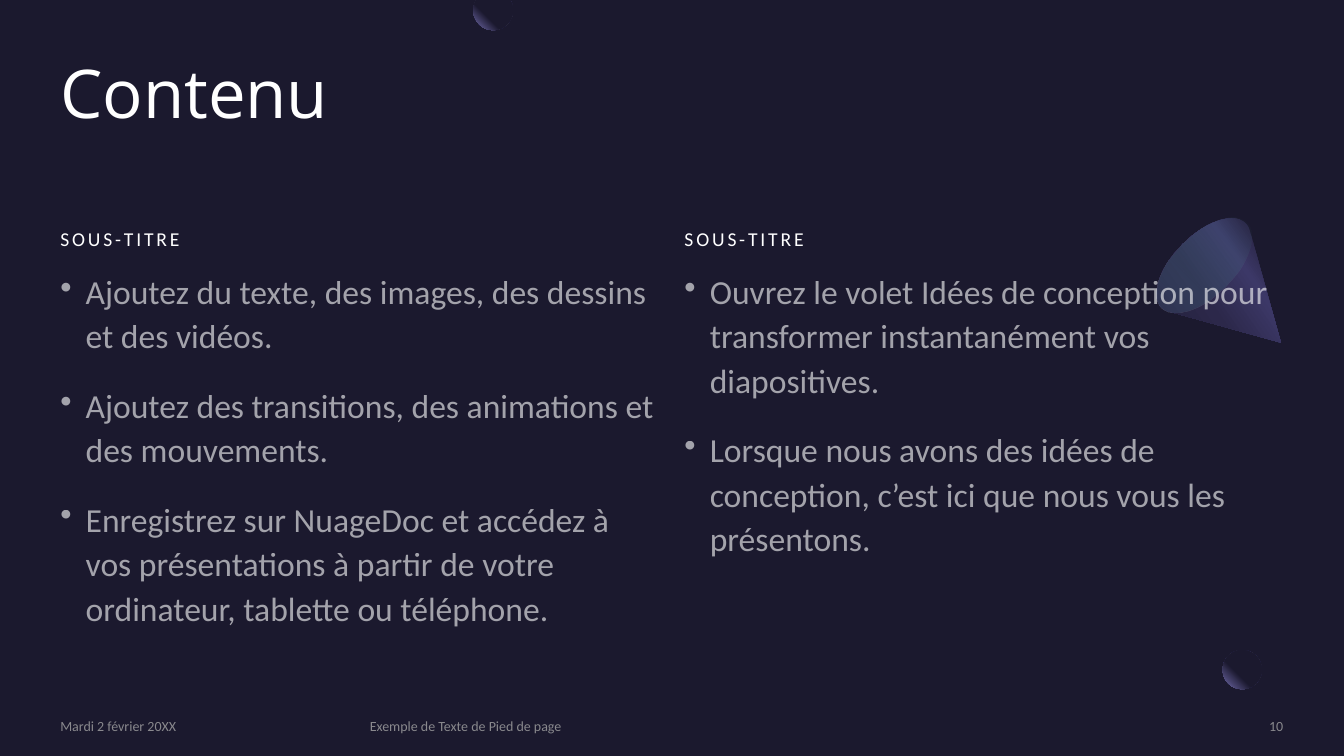
from math import cos, radians, sin

from lxml.etree import SubElement
from pptx import Presentation
from pptx.dml.color import RGBColor
from pptx.enum.shapes import MSO_SHAPE
from pptx.enum.text import MSO_ANCHOR, PP_ALIGN
from pptx.oxml import parse_xml
from pptx.oxml.ns import nsdecls, qn
from pptx.util import Cm, Pt

COLORS = {
    "night": "1B192E",
    "lilac": "7771B2",
    "plum": "2C284A",
    "violet": "3C3867",
    "indigo": "454075",
    "mint": "5BEFC1",
    "white": "FFFFFF",
    "grey": "A6A6A6",
}
LEFT, COLUMN_STEP, COLUMN_WIDTH = 1.52, 15.73, 15.11
GLOW = [(60, "night", 100), (100, "lilac", 100)]
CORNER = ('<a:path path="circle">'
          '<a:fillToRect l="100000" t="0" r="0" b="100000"/></a:path>')
COLUMNS = [
    ["Ajoutez du texte, des images, des dessins et des vidéos.",
     "Ajoutez des transitions, des animations et des mouvements.",
     "Enregistrez sur NuageDoc et accédez à vos présentations à partir "
     "de votre ordinateur, tablette ou téléphone."],
    ["Ouvrez le volet Idées de conception pour transformer instantanément "
     "vos diapositives.",
     "Lorsque nous avons des idées de conception, c’est ici que nous vous "
     "les présentons."],
]
FOOTER = [
    (LEFT, 7.32, "Mardi 2 février 20XX", PP_ALIGN.LEFT),
    (9.32, 17.73, "Exemple de Texte de Pied de page", PP_ALIGN.LEFT),
    (27.64, 4.7, "10", PP_ALIGN.RIGHT),
]


def linear(degrees):
    """Return the XML of a linear gradient direction."""
    return f'<a:lin ang="{degrees * 60000}" scaled="0"/>'


def set_alpha(element, percent):
    """Give the first colour inside an element an opacity."""
    color = next(element.iter(qn("a:srgbClr")))
    SubElement(color, qn("a:alpha")).set("val", str(percent * 1000))


def clean(shape, rotation=0):
    """Remove shadow and outline from a shape and turn it."""
    shape.shadow.inherit = False
    shape.line.fill.background()
    shape.rotation = rotation
    return shape


def fill_gradient(shape, stops, direction):
    """Fill a shape with (position, colour, opacity) stops."""
    marks = "".join(
        f'<a:gs pos="{position * 1000}"><a:srgbClr val="{COLORS[name]}">'
        f'<a:alpha val="{alpha * 1000}"/></a:srgbClr></a:gs>'
        for position, name, alpha in stops)
    gradient = parse_xml(
        f'<a:gradFill {nsdecls("a")} rotWithShape="1">'
        f'<a:gsLst>{marks}</a:gsLst>{direction}</a:gradFill>')
    shape.fill.background()
    properties = shape._element.spPr
    properties.replace(properties.find(qn("a:noFill")), gradient)


def add_preset(page, kind, left, top, width, height, rotation=0):
    """Add a clean preset shape."""
    shape = page.shapes.add_shape(
        kind, Cm(left), Cm(top), Cm(width), Cm(height))
    return clean(shape, rotation)


def arc(center_x, center_y, radius_x, radius_y, start, end):
    """Return points along an elliptical arc, in degrees."""
    steps = 60
    angles = [radians(start + (end - start) * i / steps)
              for i in range(steps + 1)]
    return [(center_x + radius_x * cos(angle),
             center_y + radius_y * sin(angle)) for angle in angles]


def add_outline(page, points, rotation=0):
    """Add a clean closed freeform through points."""
    corners = [(Cm(x), Cm(y)) for x, y in points]
    builder = page.shapes.build_freeform(*corners[0])
    builder.add_line_segments(corners[1:], close=True)
    return clean(builder.convert_to_shape(), rotation)


def add_text(page, place, lines, size, color="white", alpha=100,
             font="Calibri", anchor=MSO_ANCHOR.TOP, align=PP_ALIGN.LEFT,
             leading=1.0, before=0, after=0, tracking=0, bullet=False):
    """Add a text box whose paragraphs share one style."""
    box = page.shapes.add_textbox(*[Cm(length) for length in place])
    frame = box.text_frame
    frame.word_wrap = True
    frame.vertical_anchor = anchor
    frame.margin_left = frame.margin_right = 0
    frame.margin_top = frame.margin_bottom = 0
    frame.text = "\n".join(lines)
    for para in frame.paragraphs:
        para.alignment = align
        para.line_spacing = leading
        para.space_before, para.space_after = Pt(before), Pt(after)
        para.font.name, para.font.size = font, Pt(size)
        para.font.color.rgb = RGBColor.from_string(COLORS[color])
        properties = para._p.get_or_add_pPr()
        style = properties.find(qn("a:defRPr"))
        set_alpha(style, alpha)
        style.set("spc", str(tracking * 100))
        if bullet:
            indent = Cm(0.64)
            properties.set("marL", str(indent))
            properties.set("indent", str(-indent))
            style.addprevious(
                parse_xml(f'<a:buChar {nsdecls("a")} char="•"/>'))


def add_decoration(page):
    """Draw the two glowing discs and the cone."""
    disc = add_preset(page, MSO_SHAPE.OVAL, 30.81, 16.38, 0.99, 0.99)
    fill_gradient(disc, GLOW, CORNER)
    veil = add_preset(page, MSO_SHAPE.RECTANGLE, 31.8, 16.18, 1.04, 0.99)
    veil.fill.solid()
    veil.fill.fore_color.rgb = RGBColor.from_string(COLORS["night"])
    set_alpha(veil._element.spPr, 80)

    cone = add_outline(
        page, [(31.04, 5.64)] + arc(31.04, 8.4, 1.5, 0.75, -14, 194), 135)
    fill_gradient(cone, [(30, "plum", 100), (40, "violet", 100),
                         (60, "plum", 100), (100, "night", 100)], linear(10))
    base = add_preset(page, MSO_SHAPE.OVAL, 29.59, 5.18, 1.5, 3, 225)
    fill_gradient(base, [(0, "indigo", 33), (100, "mint", 0)], linear(90))

    cut_disc = add_outline(page, arc(12.43, 0.26, 0.5, 0.5, -31, 211))
    fill_gradient(cut_disc, GLOW, CORNER)


def main():
    """Build the slide and save it."""
    deck = Presentation()
    deck.slide_width, deck.slide_height = Cm(33.87), Cm(19.05)
    page = deck.slides.add_slide(deck.slide_layouts[6])
    page.background.fill.solid()
    page.background.fill.fore_color.rgb = RGBColor.from_string(COLORS["night"])
    add_decoration(page)
    add_text(page, (LEFT, 1.52, 30.84, 3.71), ["Contenu"], 48,
             font="Open Sans", leading=0.9)
    spacing = {"leading": 1.1, "before": 10, "after": 8}
    for index, points in enumerate(COLUMNS):
        left = LEFT + index * COLUMN_STEP
        add_text(page, (left, 4.8, COLUMN_WIDTH, 1.5), ["SOUS-TITRE"], 14,
                 anchor=MSO_ANCHOR.BOTTOM, tracking=2, **spacing)
        add_text(page, (left, 6.73, COLUMN_WIDTH, 9.75), points, 24,
                 alpha=60, bullet=True, **spacing)
    for left, width, label, align in FOOTER:
        add_text(page, (left, 18.08, width, 0.43), [label], 10, "grey", 80,
                 anchor=MSO_ANCHOR.MIDDLE, align=align)
    deck.save("out.pptx")


main()
